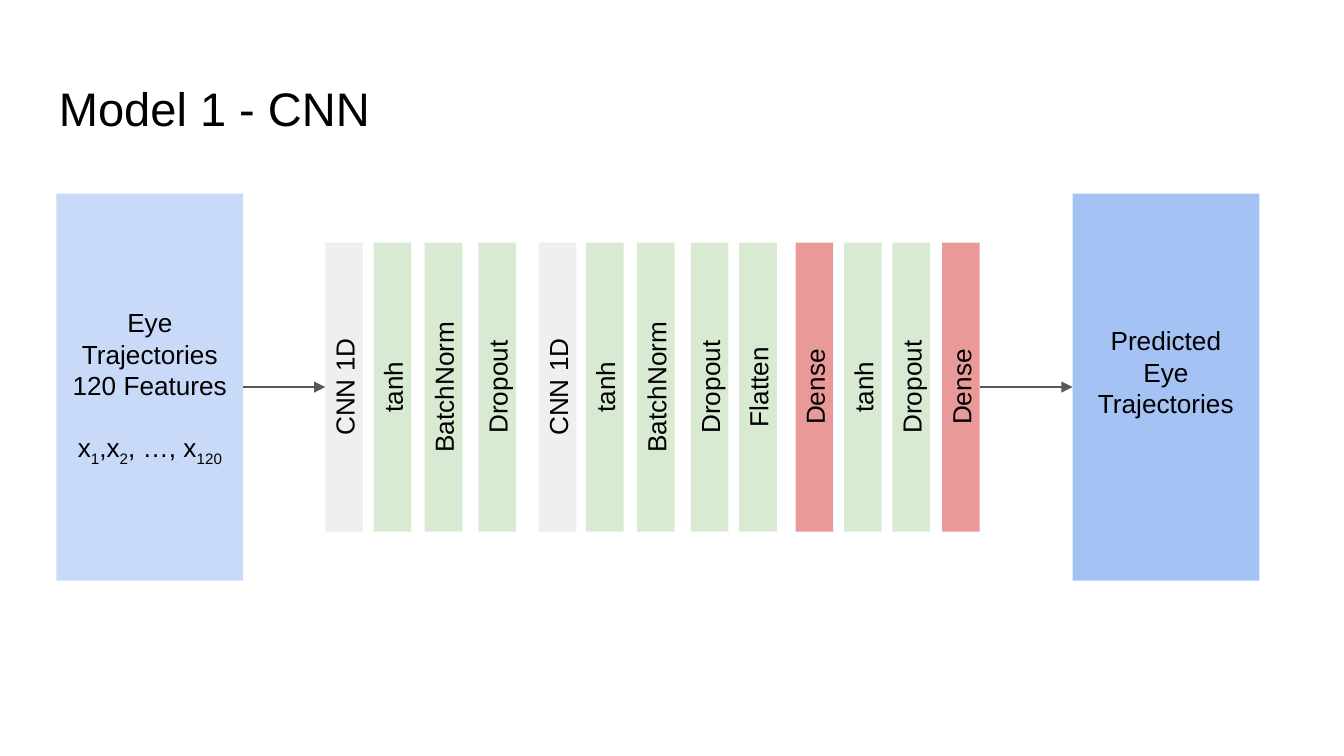
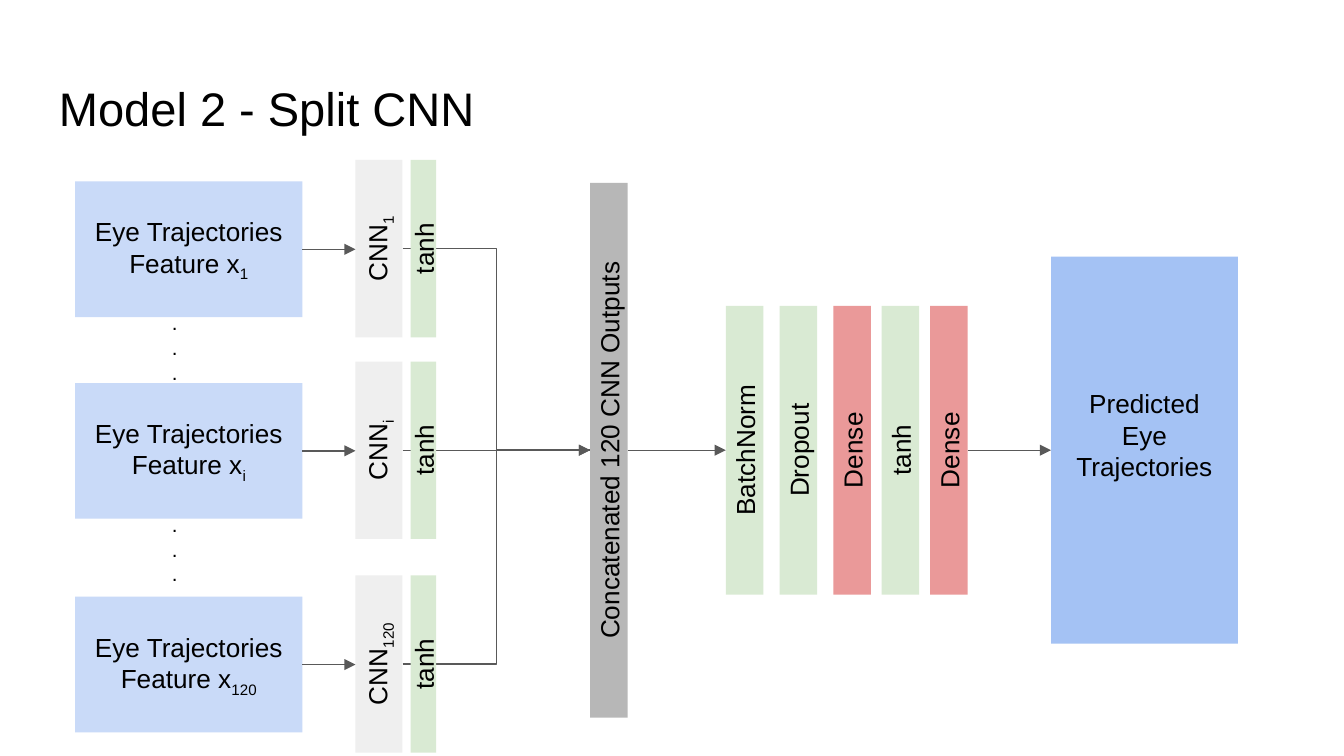
import pptx
import pptx.dml.color
import pptx.enum.shapes
import pptx.enum.text
import pptx.oxml.ns
import pptx.util
from lxml import etree

Inches = pptx.util.Inches
Pt = pptx.util.Pt
ALIGN = pptx.enum.text.PP_ALIGN
ANCHOR = pptx.enum.text.MSO_ANCHOR
CONNECTOR = pptx.enum.shapes.MSO_CONNECTOR

BLACK, GREY_LINE = "000000", "595959"
CONV, STEP, DENSE, CONCAT = "EFEFEF", "D9EAD3", "EA9999", "B7B7B7"
INPUT, OUTPUT = "C9DAF8", "A4C2F4"
BAR_LENGTH, BAR_WIDTH = 2.15, 0.28
LAYER_FILLS = {"CNN 1D": CONV, "Dense": DENSE}
FRAME = {"word_wrap": True, "margin_left": Inches(0.1), "margin_right": Inches(0.1),
         "margin_top": Inches(0.1), "margin_bottom": Inches(0.1)}


def rgb(value):
    return pptx.dml.color.RGBColor.from_string(value)


def write(sp, paragraphs, size, frame=None, align=ALIGN.LEFT):
    """Each paragraph is a list of runs; every second run is a subscript."""
    tf = sp.text_frame
    for name, value in {**FRAME, "vertical_anchor": ANCHOR.TOP, **(frame or {})}.items():
        setattr(tf, name, value)
    for i, runs in enumerate(paragraphs):
        p = tf.paragraphs[0] if i == 0 else tf.add_paragraph()
        p.alignment = align
        for j, text in enumerate(runs):
            r = p.add_run()
            r.text = text
            for name, value in {"name": "Arial", "size": Pt(size)}.items():
                setattr(r.font, name, value)
            r.font.color.rgb = rgb(BLACK)
            if j % 2:
                r._r.get_or_add_rPr().set("baseline", "-25000")


def text_box(s, left, top, width, height, paragraphs, size):
    sp = s.shapes.add_textbox(*map(Inches, (left, top, width, height)))
    write(sp, paragraphs, size)


def block(s, left, top, width, height, fill, paragraphs, frame=None):
    sp = s.shapes.add_shape(pptx.enum.shapes.MSO_SHAPE.RECTANGLE,
                            *map(Inches, (left, top, width, height)))
    sp.shadow.inherit = False
    sp.fill.solid()
    sp.fill.fore_color.rgb = rgb(fill)
    sp.line.fill.background()
    write(sp, paragraphs, 14, {"vertical_anchor": ANCHOR.MIDDLE, **(frame or {})}, ALIGN.CENTER)
    return sp


def bar(s, cx, cy, runs, fill, length=BAR_LENGTH, width=BAR_WIDTH):
    """Upright bar, centred on a point, with text reading upwards."""
    sp = block(s, cx - length / 2, cy - width / 2, length, width, fill, [runs])
    sp.rotation = 270
    return sp


def layers(s, left, cy, row):
    """Row of layer bars; each entry is a name and its centre from the left."""
    return [bar(s, left + dx, cy, [name], LAYER_FILLS.get(name, STEP)) for name, dx in row]


def output_box(s, left, cy):
    return block(s, left, cy - 1.44, 1.39, 2.88, OUTPUT, [["Predicted Eye Trajectories"]],
                 {"margin_bottom": Inches(0.33)})


# Connectors
def connector(s, kind, begin, end, head=True):
    c = s.shapes.add_connector(kind, *begin, *end)
    c.line.color.rgb = rgb(GREY_LINE)
    c.line.width = Pt(0.75)
    if head:
        etree.SubElement(c.line._get_or_add_ln(), pptx.oxml.ns.qn("a:tailEnd"), type="triangle")
    etree.SubElement(c._element.spPr, pptx.oxml.ns.qn("a:effectLst"))
    return c


def side(sp, right):
    """Connection site and point in the middle of the left or right side."""
    upright = sp.rotation == 270
    half = (sp.height if upright else sp.width) // 2
    site = (2 if right else 0) if upright else (3 if right else 1)
    x = sp.left + sp.width // 2 + (half if right else -half)
    return site, (x, sp.top + sp.height // 2)


def join(s, a, b):
    (out_site, begin), (in_site, end) = side(a, True), side(b, False)
    c = connector(s, CONNECTOR.STRAIGHT, begin, (end[0], begin[1]))
    c.begin_connect(a, out_site)
    c.end_connect(b, in_site)
    # Joining ignores rotation, so put the ends back on the turned sides
    ends = {"begin_x": begin[0], "begin_y": begin[1], "end_x": end[0], "end_y": begin[1]}
    for name, value in ends.items():
        setattr(c, name, value)


def new_slide(prs, title):
    s = prs.slides.add_slide(prs.slide_layouts[6])
    text_box(s, 0.34, 0.49, 9.32, 0.63, [[title]], 25.2)
    return s


# Slide 1: one stack of layers
def cnn_slide(prs):
    s = new_slide(prs, "Model 1 - CNN")
    cy = 2.88
    features = block(s, 0.42, cy - 1.44, 1.39, 2.88, INPUT, [
        ["Eye Trajectories"], ["120 Features"], ["x", "1", ",x", "2", ", …, x", "120"]])
    features.text_frame.paragraphs[-1].space_before = Pt(16.5)
    stack = layers(s, 2.42, cy, [
        ("CNN 1D", 0.14), ("tanh", 0.5), ("BatchNorm", 0.88), ("Dropout", 1.28),
        ("CNN 1D", 1.73), ("tanh", 2.08), ("BatchNorm", 2.46), ("Dropout", 2.86),
        ("Flatten", 3.22), ("Dense", 3.64), ("tanh", 4.0), ("Dropout", 4.36), ("Dense", 4.73)])
    join(s, features, stack[0])
    join(s, stack[-1], output_box(s, 7.98, cy))


# Slide 2: one branch per feature, then shared layers
def branch(s, left, cy, index):
    feature = block(s, left, cy - 0.5, 1.69, 1.01, INPUT,
                    [["Eye Trajectories"], ["Feature x", index]])
    conv = bar(s, left + 2.26, cy, ["CNN", index], CONV, 1.32, 0.35)
    join(s, feature, conv)
    return conv


def split_cnn_slide(prs):
    s = new_slide(prs, "Model 2 - Split CNN")
    left, cy = 0.56, 3.35
    rows = {"1": 1.85, "i": cy, "120": 4.94}
    convs = {index: branch(s, left, y, index) for index, y in rows.items()}
    for top in (2.21, 3.71):
        text_box(s, left + 0.62, top, 0.28, 0.76, [["."], [".."]], 11)

    concat = bar(s, 4.53, cy, ["Concatenated 120 CNN Outputs"], CONCAT, 3.98)
    target = side(concat, False)[1]
    for index in ("1", "120"):
        connector(s, CONNECTOR.ELBOW, side(convs[index], True)[1], target, index == "120")
    join(s, convs["i"], concat)
    for y in rows.values():
        bar(s, left + 2.59, y, ["tanh"], STEP, 1.32, 0.19)

    stack = layers(s, 5.4, cy, [("BatchNorm", 0.14), ("Dropout", 0.54), ("Dense", 0.94),
                                ("tanh", 1.3), ("Dense", 1.66)])
    join(s, concat, stack[0])
    join(s, stack[-1], output_box(s, 7.82, cy))


def main():
    prs = pptx.Presentation()
    prs.slide_width = Inches(10)
    prs.slide_height = prs.slide_width * 9 // 16
    cnn_slide(prs)
    split_cnn_slide(prs)
    prs.save("out.pptx")


if __name__ == "__main__":
    main()
